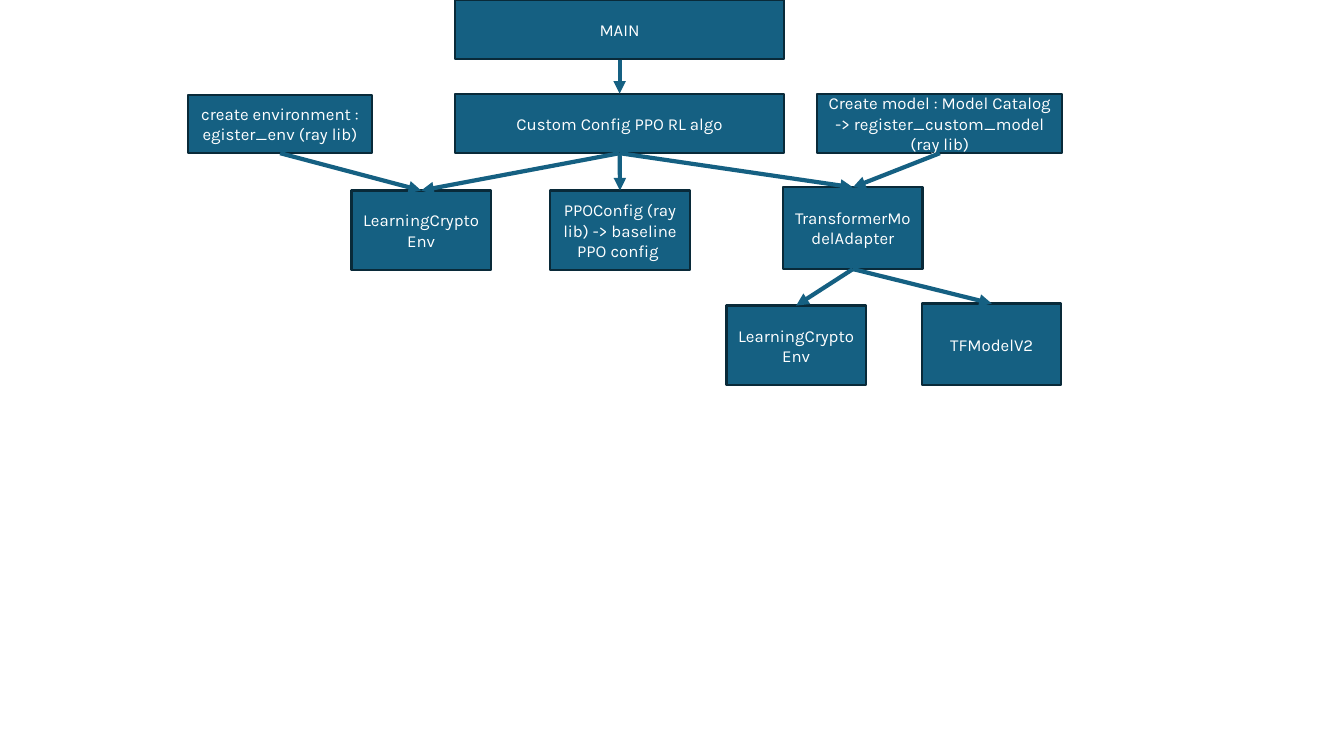
from lxml.etree import SubElement
from pptx import Presentation
from pptx.dml.color import RGBColor
from pptx.enum.shapes import MSO_CONNECTOR, MSO_SHAPE
from pptx.enum.text import MSO_ANCHOR, PP_ALIGN
from pptx.oxml.ns import qn
from pptx.util import Cm, Pt

BLUE = RGBColor(0x15, 0x60, 0x82)
NAVY = RGBColor(0x09, 0x2A, 0x39)
WHITE = RGBColor(0xFF, 0xFF, 0xFF)
FONT = "Karla"
TOP, BOTTOM = 0, 2

# key: (text, left, top, width, height) in cm
BOXES = {
    "main": ("MAIN", 11.46, 0, 8.31, 1.5),
    "algo": ("Custom Config PPO RL algo", 11.46, 2.36, 8.31, 1.5),
    "create_model": ("Create model : Model Catalog -> register_custom_model (ray lib)",
                     20.6, 2.36, 6.17, 1.5),
    "create_env": ("create environment : egister_env (ray lib)", 4.75, 2.39, 4.62, 1.47),
    "env": ("LearningCryptoEnv", 8.86, 4.8, 3.51, 2.01),
    "ppo": ("PPOConfig (ray lib) -> baseline PPO config ", 13.87, 4.8, 3.51, 2.01),
    "adapter": ("TransformerModelAdapter", 19.74, 4.72, 3.51, 2.06),
    "model_env": ("LearningCryptoEnv", 18.31, 7.7, 3.51, 2.01),
    "tf_model": ("TFModelV2", 23.24, 7.65, 3.51, 2.06),
}
ARROWS = [
    ("main", "algo"),
    ("algo", "env"),
    ("algo", "ppo"),
    ("algo", "adapter"),
    ("create_env", "env"),
    ("create_model", "adapter"),
    ("adapter", "model_env"),
    ("adapter", "tf_model"),
]


def add_box(s, text, *place):
    box = s.shapes.add_shape(MSO_SHAPE.RECTANGLE, *map(Cm, place))
    box.shadow.inherit = False
    box.fill.solid()
    box.fill.fore_color.rgb = BLUE
    box.line.color.rgb = NAVY
    box.line.width = Pt(1.5)
    tf = box.text_frame
    tf.word_wrap = True
    tf.vertical_anchor = MSO_ANCHOR.MIDDLE
    tf.text = text
    p = tf.paragraphs[0]
    p.alignment = PP_ALIGN.CENTER
    font = p.runs[0].font
    font.name = FONT
    font.size = Pt(12)
    font.color.rgb = WHITE
    return box


def add_arrow(s, parent, child):
    """Join the bottom of parent to the top of child."""
    arrow = s.shapes.add_connector(MSO_CONNECTOR.STRAIGHT, 0, 0, 0, 0)
    arrow.begin_connect(parent, BOTTOM)
    arrow.end_connect(child, TOP)
    arrow.line.color.rgb = BLUE
    arrow.line.width = Pt(3)
    SubElement(arrow.line._get_or_add_ln(), qn("a:tailEnd"), type="triangle")
    SubElement(arrow._element.spPr, qn("a:effectLst"))


def main():
    prs = Presentation()
    prs.slide_width, prs.slide_height = Cm(33.87), Cm(19.05)
    s = prs.slides.add_slide(prs.slide_layouts[6])
    boxes = {key: add_box(s, *box) for key, box in BOXES.items()}
    for parent, child in ARROWS:
        add_arrow(s, boxes[parent], boxes[child])
    prs.save("out.pptx")


if __name__ == "__main__":
    main()
